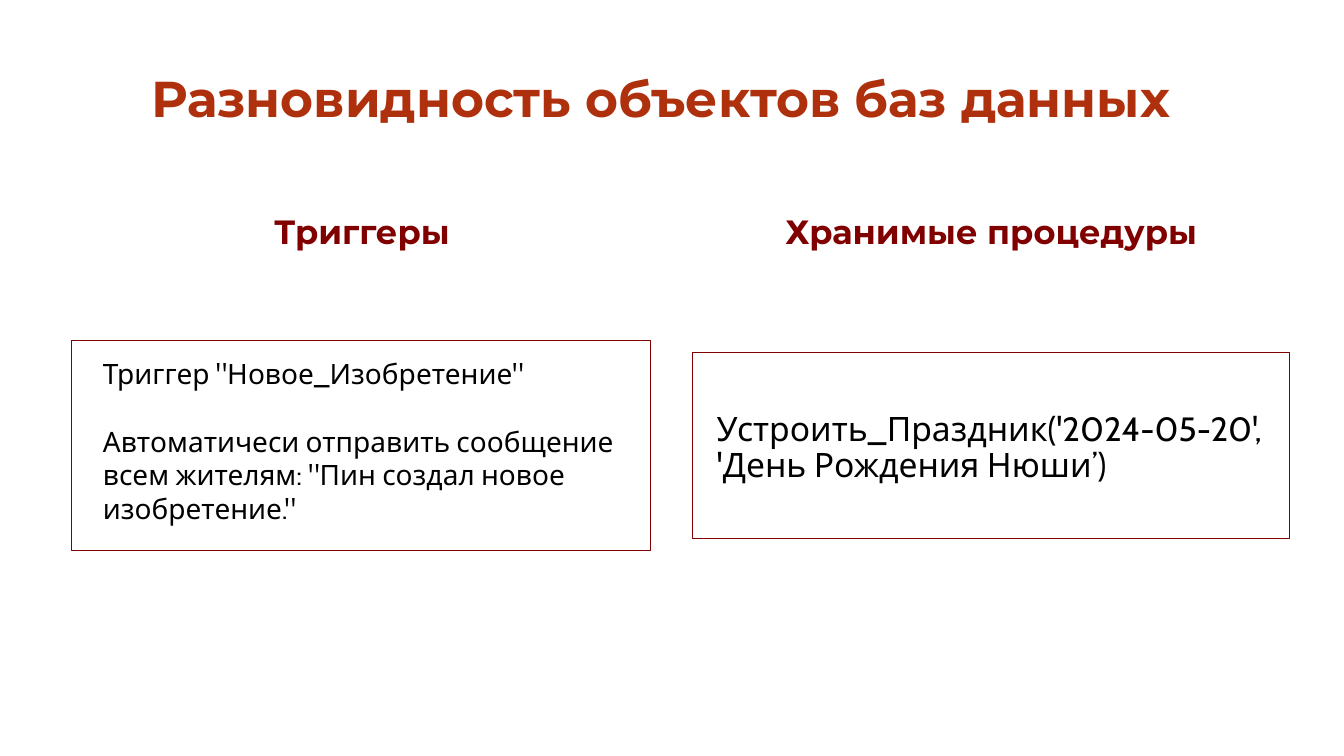
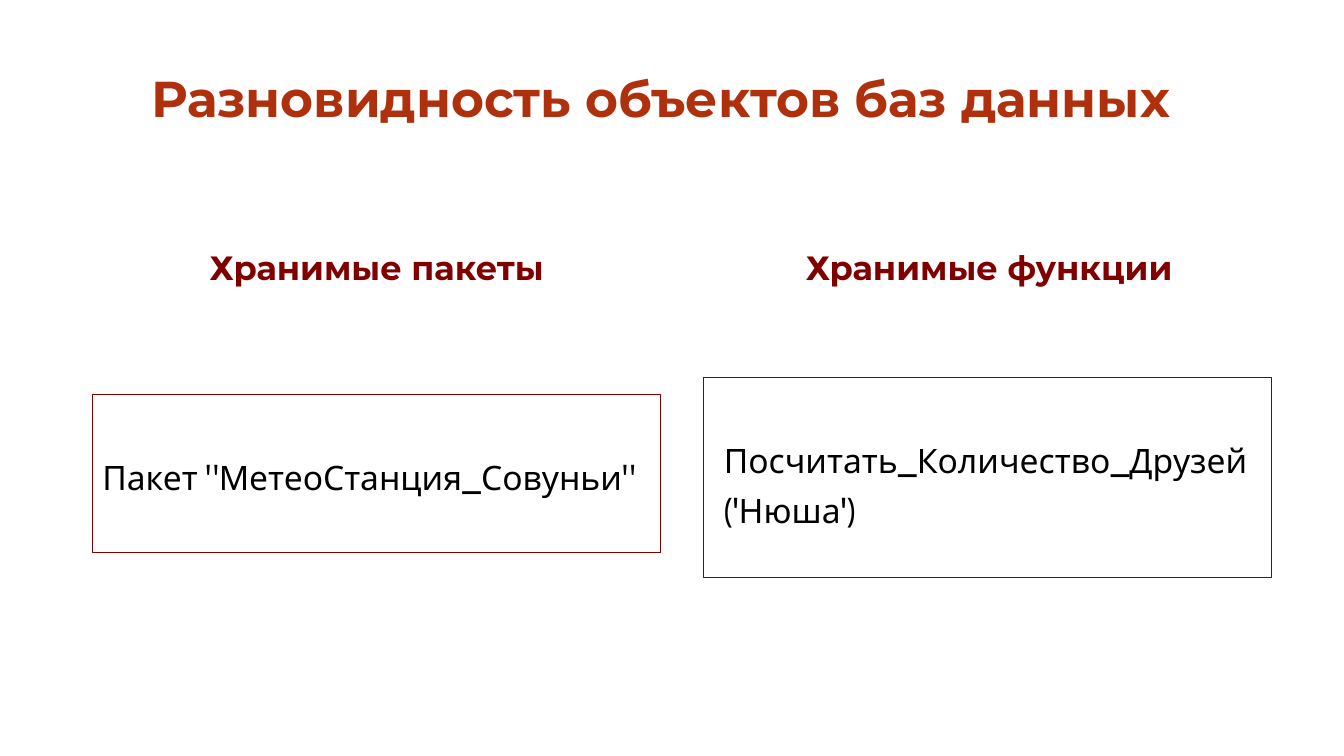
from pptx import Presentation
from pptx.dml.color import RGBColor
from pptx.enum import shapes, text
from pptx.util import Pt

RUST = RGBColor(0xAF, 0x30, 0x0D)
MAROON = RGBColor(0x80, 0x00, 0x00)
BLACK = RGBColor(0, 0, 0)
HEAD_FONT = "Montserrat"
BODY_FONT = "Cabin"
TITLE = "Разновидность объектов баз данных"
HEADING_HEIGHT = 65


def style(p, font, size, color, bold=False):
    p.font.name = font
    p.font.size = Pt(size)
    p.font.color.rgb = color
    p.font.bold = bold


def add_heading(s, at, wording, size, color):
    """Add a bold line of text centred in its box."""
    tf = s.shapes.add_textbox(*map(Pt, at)).text_frame
    tf.word_wrap = True
    tf.vertical_anchor = text.MSO_ANCHOR.MIDDLE
    p = tf.paragraphs[0]
    p.text = wording
    p.alignment = text.PP_ALIGN.CENTER
    p.line_spacing = 0.9
    style(p, HEAD_FONT, size, color, bold=True)


def add_example(s, at, lines, left, top, right=7.2, size=24, spacing=0.9, gap=10):
    """Add an outlined box; left, top and right are its text insets."""
    sp = s.shapes.add_shape(shapes.MSO_SHAPE.RECTANGLE, *map(Pt, at))
    sp.shadow.inherit = False
    sp.fill.background()
    sp.line.color.rgb = MAROON
    sp.line.width = Pt(0.75)
    tf = sp.text_frame
    tf.word_wrap = True
    tf.vertical_anchor = text.MSO_ANCHOR.TOP
    tf.margin_left, tf.margin_top, tf.margin_right = Pt(left), Pt(top), Pt(right)
    tf.margin_bottom = 0
    for i, line in enumerate(lines):
        p = tf.add_paragraph() if i else tf.paragraphs[0]
        p.text = line
        p.alignment = text.PP_ALIGN.LEFT
        p.line_spacing = spacing
        if i:
            p.space_before = Pt(gap)
        style(p, BODY_FONT, size, BLACK)


def add_slide(prs, heading_top, headings):
    """Add a slide with the shared title and (left, width, wording) headings."""
    s = prs.slides.add_slide(prs.slide_layouts[6])
    add_heading(s, (73.5, 29.5, 797, 85), TITLE, 36, RUST)
    for left, width, wording in headings:
        add_heading(s, (left, heading_top, width, HEADING_HEIGHT), wording, 24, MAROON)
    return s


def main():
    prs = Presentation()
    prs.slide_width, prs.slide_height = Pt(960), Pt(540)

    s = add_slide(prs, 134.5, [(55.5, 406, "Триггеры"),
                               (504, 408, "Хранимые процедуры")])
    add_example(s, (51, 243, 414, 150),
                ['Триггер "Новое_Изобретение"',
                 'Автоматичеси отправить сообщение всем жителям: '
                 '"Пин создал новое изобретение."'],
                left=22.5, top=12, right=0, size=20, spacing=1, gap=24)
    add_example(s, (494.5, 251.5, 426.5, 133),
                ["Устроить_Праздник('2024-05-20', 'День Рождения Нюши’)"],
                left=17.5, top=43)

    s = add_slide(prs, 160, [(66, 406, "Хранимые пакеты"),
                             (502.5, 408, "Хранимые функции")])
    add_example(s, (66, 282, 406, 113), ['Пакет "МетеоСтанция_Совуньи"'],
                left=7.2, top=48)
    add_example(s, (502.5, 269.5, 406, 143),
                ["Посчитать_Количество_Друзей", "('Нюша')"],
                left=14.5, top=48)

    prs.save("out.pptx")


if __name__ == "__main__":
    main()
